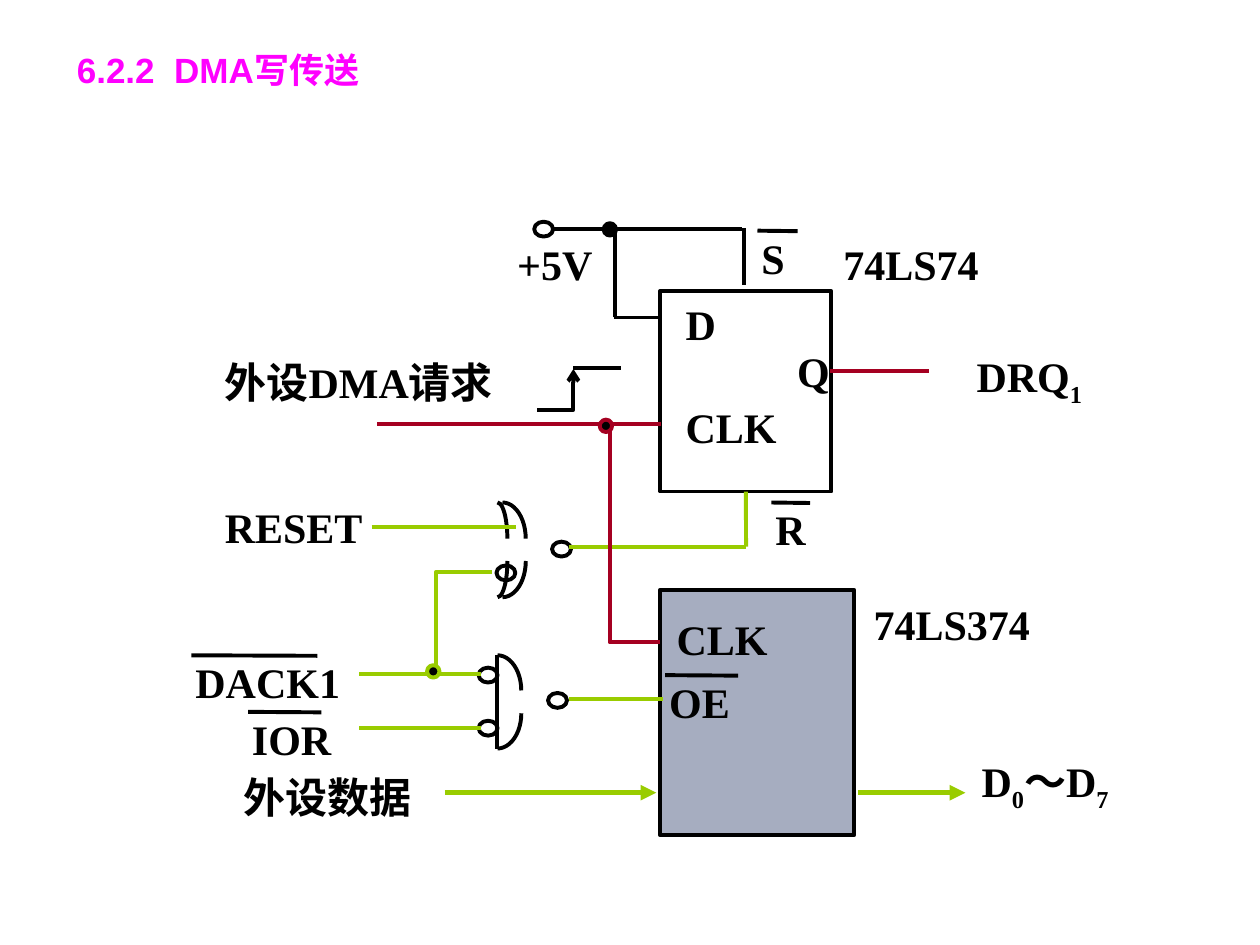
from lxml.etree import SubElement
from pptx import Presentation
from pptx.dml.color import RGBColor
from pptx.enum.shapes import MSO_CONNECTOR, MSO_SHAPE
from pptx.enum.text import MSO_ANCHOR, PP_ALIGN
from pptx.oxml.ns import qn
from pptx.util import Cm, Pt

COLORS = {
    "black": "000000",
    "title": "FF00FF",
    "chip": "A6ADC0",
    "green": "99CC00",
    "red": "A50021",
}
CENTER, RIGHT = PP_ALIGN.CENTER, PP_ALIGN.RIGHT
DOT = 0.25


def rgb(name):
    return RGBColor.from_string(COLORS[name])


def set_line(s, color, width=2.25):
    s.line.color.rgb = rgb(color)
    s.line.width = Pt(width)


def add_arrowhead(s, end, kind):
    ln = s.line._get_or_add_ln()
    SubElement(ln, qn(f"a:{end}"), type=kind)


def add_text(slide, text, x, y, w, h, size=24, font="Times New Roman", color="black",
             align=PP_ALIGN.LEFT, anchor=MSO_ANCHOR.TOP, inset=0.03, gap=0):
    tf = slide.shapes.add_textbox(Cm(x), Cm(y), Cm(w), Cm(h)).text_frame
    tf.word_wrap = True
    tf.vertical_anchor = anchor
    tf.margin_left = tf.margin_right = tf.margin_top = tf.margin_bottom = Cm(inset)
    for i, line in enumerate(text.split("\n")):
        p = tf.add_paragraph() if i else tf.paragraphs[0]
        p.alignment = align
        if i:
            p.space_before = Pt(gap)
        for j, part in enumerate(line.split("_")):
            if not part:
                continue
            r = p.add_run()
            r.text = part
            r.font.name = font
            r.font.size = Pt(size)
            r.font.bold = True
            r.font.color.rgb = rgb(color)
            if j % 2:
                r._r.get_or_add_rPr().set("baseline", "-25000")


def add_outline(slide, kind, x, y, w, h, color="black", fill=None):
    s = slide.shapes.add_shape(kind, Cm(x), Cm(y), Cm(w), Cm(h))
    s.shadow.inherit = False
    if fill:
        s.fill.solid()
        s.fill.fore_color.rgb = rgb(fill)
    else:
        s.fill.background()
    set_line(s, color)
    return s


def add_wire(slide, x1, y1, x2, y2, color="black", width=2.25, arrow=False):
    s = slide.shapes.add_connector(MSO_CONNECTOR.STRAIGHT, Cm(x1), Cm(y1), Cm(x2), Cm(y2))
    SubElement(s._element.spPr, qn("a:effectLst"))
    set_line(s, color, width)
    if arrow:
        add_arrowhead(s, "tailEnd", "triangle")
    return s


def add_bent_wire(slide, points, color):
    first, *rest = [(Cm(x), Cm(y)) for x, y in points]
    builder = slide.shapes.build_freeform(*first)
    builder.add_line_segments(rest, close=False)
    s = builder.convert_to_shape()
    s.shadow.inherit = False
    s.fill.background()
    set_line(s, color)
    return s


def add_gate_curve(slide, x, top, bottom, rx, ry):
    for y, start, end in ((top, 162, 0), (bottom - 2 * ry, 0, 54)):
        s = add_outline(slide, MSO_SHAPE.ARC, x - rx, y, 2 * rx, 2 * ry)
        s.adjustments[0] = start
        s.adjustments[1] = end


def add_bubble(slide, x, y):
    add_outline(slide, MSO_SHAPE.OVAL, x, y, 0.38, 0.3)


def add_junction(slide, x, y, color):
    add_outline(slide, MSO_SHAPE.OVAL, x, y, DOT, DOT, color, "black")


def add_negated_label(slide, text, x, y, w, bar_end):
    add_text(slide, text, x, y, w, 1.4)
    add_wire(slide, x - 0.05, y, bar_end, y + 0.01)


def add_gates(slide):
    add_gate_curve(slide, 10.03, 13.21, 15.09, 0.48, 0.71)
    add_wire(slide, 10.02, 13.21, 10.02, 15.09)
    add_gate_curve(slide, 10.13, 10.13, 12.04, 0.47, 0.73)
    add_gate_curve(slide, 10.03, 10.13, 12.04, 0.2, 0.73)
    for x, y in ((11.05, 13.97), (9.65, 13.46), (9.65, 14.53),
                 (11.13, 10.92), (10.01, 11.4), (10.77, 4.47)):
        add_bubble(slide, x, y)


def add_wires(slide, flip_flop):
    for points in (
        (14.96, 4.62, 11.1, 4.62),
        (14.99, 5.74, 14.99, 4.6),
        (12.4, 6.4, 12.4, 4.62),
        (13.33, 6.4, 12.37, 6.4),
        (11.56, 7.42, 12.52, 7.42),
    ):
        add_wire(slide, *points)
    for points in ((13.33, 8.55, 7.59, 8.55), (18.72, 7.47, 16.74, 7.47)):
        add_wire(slide, *points, color="red")
    for points in (
        (11.48, 11.02, 15.04, 11.02),
        (11.48, 14.1, 13.36, 14.1),
        (7.49, 10.63, 10.41, 10.63),
        (7.24, 13.59, 9.7, 13.59),
        (7.24, 14.67, 9.7, 14.67),
    ):
        add_wire(slide, *points, color="green")
    reset = add_wire(slide, 15.04, 9.91, 15.04, 11.02, color="green")
    reset.begin_connect(flip_flop, 2)
    for x1, x2 in ((8.97, 13.23), (17.3, 19.46)):
        add_wire(slide, x1, 15.98, x2, 15.98, color="green", width=3, arrow=True)

    add_bent_wire(slide, ((12.29, 8.59), (12.29, 12.95), (13.31, 12.95)), "red")
    add_bent_wire(slide, ((9.91, 11.53), (8.79, 11.53), (8.79, 13.61)), "green")
    pulse = add_bent_wire(slide, ((11.56, 7.44), (11.56, 8.26), (10.82, 8.26)), "black")
    add_arrowhead(pulse, "headEnd", "arrow")

    for x, y, color in ((12.09, 8.46, "red"), (12.17, 4.5, "black"), (8.61, 13.41, "green")):
        add_junction(slide, x, y, color)


def add_labels(slide):
    add_text(slide, "CLK", 13.61, 12.34, 2.74, 1.42)
    add_text(slide, "D\nCLK", 13.79, 5.99, 2.74, 3.84, gap=30)
    add_text(slide, "D_0_～D_7", 19.76, 15.21, 4.17, 1.4)
    add_text(slide, "Q", 14.55, 6.93, 2.21, 1.7, align=RIGHT)
    add_text(slide, "+5V", 9.93, 4.78, 2.51, 1.63, align=CENTER)
    add_text(slide, "外设数据", 4.01, 15.52, 4.32, 1.65, align=RIGHT)
    add_text(slide, "外设DMA请求", 4.5, 7.16, 6.65, 1.65)
    add_text(slide, "74LS374", 17.58, 12.04, 3.63, 1.65)
    add_text(slide, "74LS74", 16.97, 4.78, 3.63, 1.65)
    add_text(slide, "RESET", 4.22, 10.08, 3.4, 1.55, align=CENTER)
    add_text(slide, "DRQ_1", 19.05, 7.04, 3.4, 1.55, align=CENTER)
    add_negated_label(slide, "DACK1", 3.91, 13.21, 3.2, 6.4)
    add_negated_label(slide, "IOR", 5.05, 14.35, 3.2, 6.48)
    add_negated_label(slide, "OE", 13.46, 13.61, 3.2, 14.88)
    add_negated_label(slide, "R", 15.6, 10.13, 1.7, 16.33)
    add_negated_label(slide, "S", 15.32, 4.65, 1.7, 16.08)


def main():
    prs = Presentation()
    prs.slide_width, prs.slide_height = Cm(25.4), Cm(19.05)
    slide = prs.slides.add_slide(prs.slide_layouts[6])
    add_text(slide, "6.2.2  DMA写传送", 1.3, 0.71, 22.86, 1.4, size=20, font="Arial",
             color="title", anchor=MSO_ANCHOR.MIDDLE, inset=0.25)
    add_outline(slide, MSO_SHAPE.RECTANGLE, 13.31, 11.89, 3.91, 4.95, fill="chip")
    flip_flop = add_outline(slide, MSO_SHAPE.RECTANGLE, 13.31, 5.87, 3.45, 4.04)
    add_gates(slide)
    add_wires(slide, flip_flop)
    add_labels(slide)
    prs.save("out.pptx")


if __name__ == "__main__":
    main()
